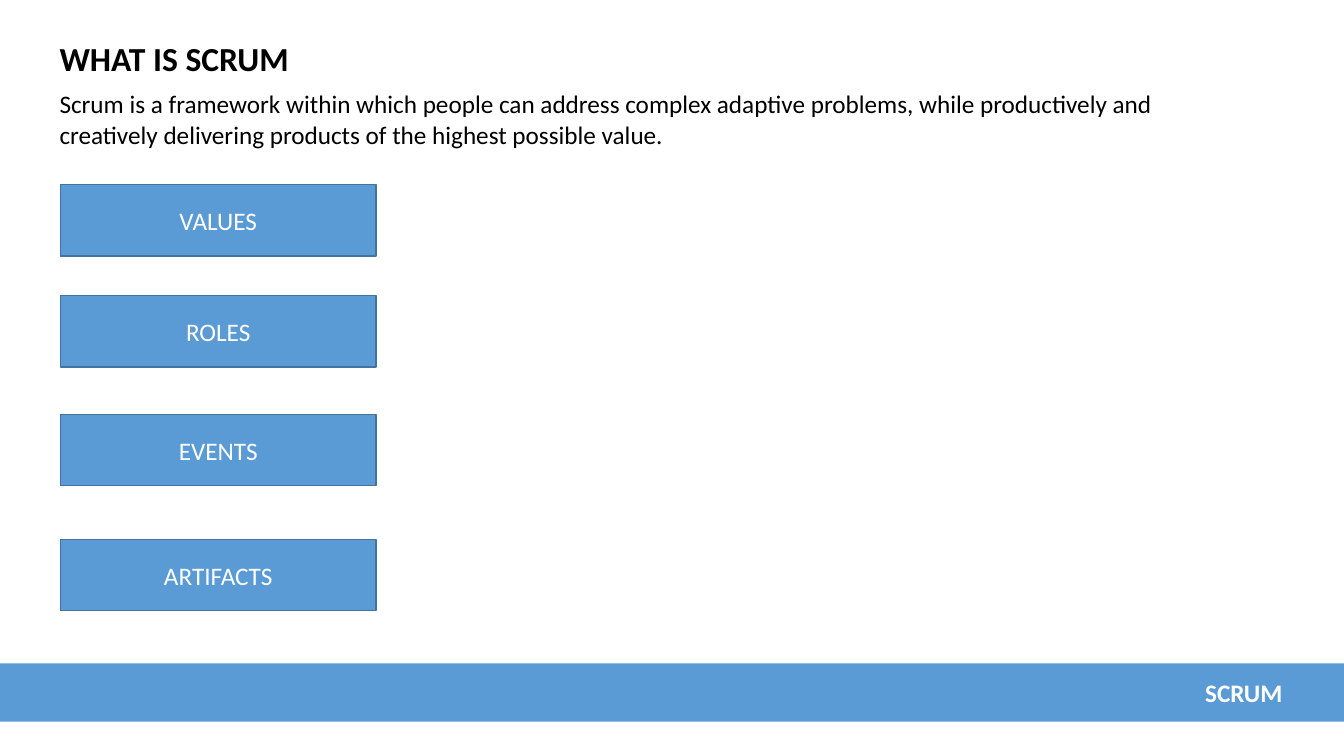
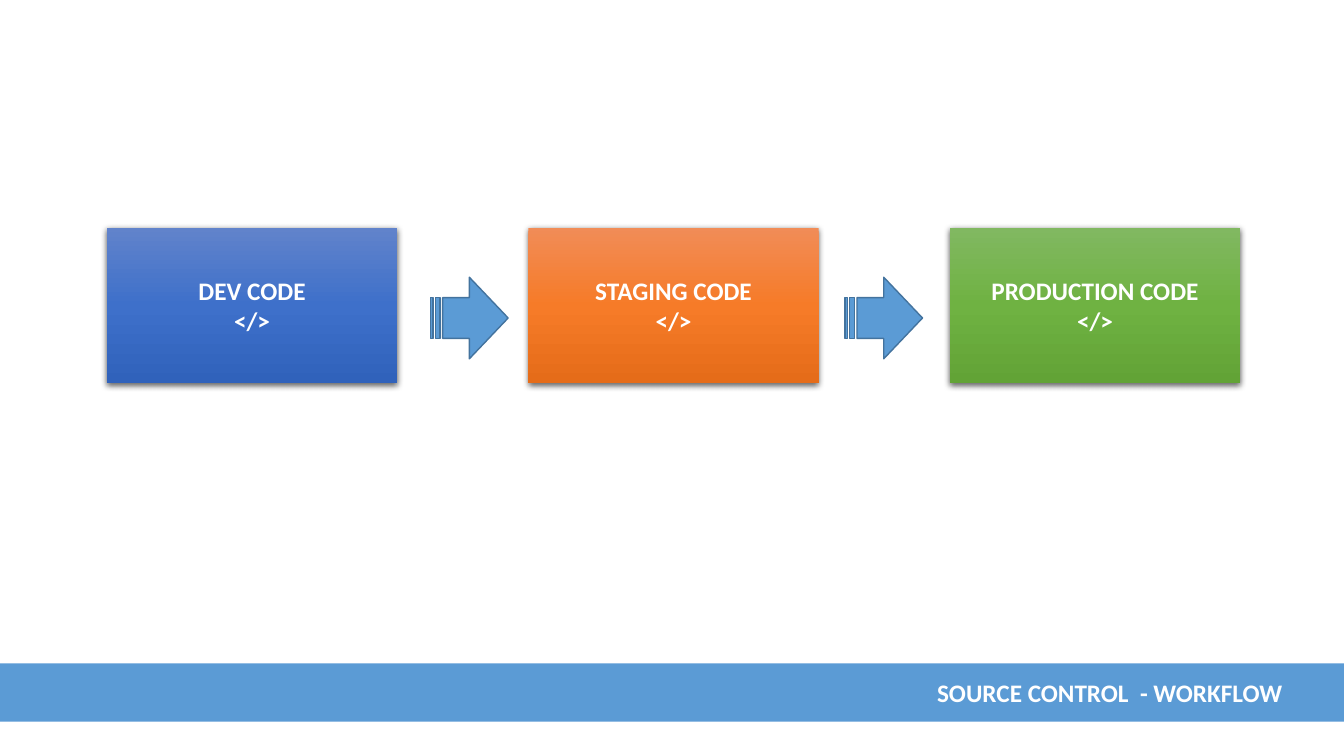
from pptx import Presentation
from pptx.dml.color import RGBColor
from pptx.enum.shapes import MSO_SHAPE
from pptx.enum.text import MSO_ANCHOR as Anchor, MSO_AUTO_SIZE, PP_ALIGN as Align
from pptx.oxml import parse_xml
from pptx.oxml.ns import nsdecls, qn
from pptx.util import Inches, Pt

FONT = "Calibri"
COLORS = {"blue": "5B9BD5", "edge": "43739E", "ink": "000000", "white": "FFFFFF"}
WIDTH, HEIGHT = 13.33, 7.5
BAND_TOP, BAND_HEIGHT = 6.58, 0.58
CAPTION_BOX = (0.85, BAND_TOP, 12, BAND_HEIGHT)

HEADING = "WHAT IS SCRUM"
DEFINITION = (
    "Scrum is a framework within which people can address complex adaptive problems, "
    "while productively and creatively delivering products of the highest possible value."
)
SCRUM_CAPTION = "SCRUM"
TOPICS = [("VALUES", 1.83), ("ROLES", 2.93), ("EVENTS", 4.11), ("ARTIFACTS", 5.35)]

WORKFLOW_CAPTION = "SOURCE CONTROL  - WORKFLOW"
CODE_MARK = "</>"
STAGES = [
    ("DEV CODE", ("6183CB", "3E70CA", "3062BB")),
    ("STAGING CODE", ("F18C57", "F67B28", "E56C19")),
    ("PRODUCTION CODE", ("81B861", "6FB242", "62A336")),
]
STAGE_LEFT, STAGE_PITCH = 1.06, 4.18
ARROW_LEFT, ARROW_PITCH = 4.27, 4.11


def rgb(name):
    return RGBColor.from_string(COLORS[name])


def place(shape, left, top, width, height):
    shape.left, shape.top = Inches(left), Inches(top)
    shape.width, shape.height = Inches(width), Inches(height)
    return shape


def write(shape, *lines, size=18, color="white", bold=False, align=Align.CENTER,
          anchor=Anchor.MIDDLE, wrap=True, side=0.1):
    frame = shape.text_frame
    frame.auto_size = MSO_AUTO_SIZE.NONE
    frame.word_wrap = wrap
    frame.vertical_anchor = anchor
    frame.margin_left = frame.margin_right = Inches(side)
    frame.margin_top = frame.margin_bottom = Inches(0.05)
    frame.text = "\n".join(lines)
    for paragraph in frame.paragraphs:
        paragraph.alignment = align
        paragraph.space_before = Pt(0)
        font = paragraph.runs[0].font
        font.name, font.size, font.bold = FONT, Pt(size), bold
        font.color.rgb = rgb(color)


def add_block(slide, box, kind=MSO_SHAPE.RECTANGLE, edge=True):
    block = slide.shapes.add_shape(kind, *map(Inches, box))
    block.shadow.inherit = False
    block.fill.solid()
    block.fill.fore_color.rgb = rgb("blue")
    if edge:
        block.line.color.rgb = rgb("edge")
        block.line.width = Pt(1)
    else:
        block.line.fill.background()
    return block


def add_master_band(prs, slide):
    band = add_block(slide, (0, BAND_TOP, WIDTH, BAND_HEIGHT), edge=False)
    band.element.nvSpPr.cNvPr.set("id", "99")
    prs.slide_master.shapes.element.insert(2, band.element)


def write_caption(shape, caption):
    write(place(shape, *CAPTION_BOX), caption, bold=True, align=Align.RIGHT, side=0.13)


def remove_bullet(paragraph):
    properties = paragraph._p.get_or_add_pPr()
    properties.set("marL", "0")
    properties.set("indent", "0")
    properties.append(parse_xml(f"<a:buNone {nsdecls('a')}/>"))


def shade(block, tones):
    stops = "".join(
        f'<a:gs pos="{i * 50000}"><a:srgbClr val="{tone}"/></a:gs>'
        for i, tone in enumerate(tones)
    )
    properties = block.element.spPr
    properties.replace(properties.find(qn("a:solidFill")), parse_xml(
        f'<a:gradFill {nsdecls("a")} rotWithShape="1"><a:gsLst>{stops}</a:gsLst>'
        '<a:lin ang="5400000" scaled="0"/></a:gradFill>'))
    properties.find(qn("a:effectLst")).append(parse_xml(
        f'<a:outerShdw {nsdecls("a")} blurRad="57150" dist="19050" dir="5400000" '
        'algn="ctr" rotWithShape="0"><a:srgbClr val="000000"><a:alpha val="63000"/>'
        '</a:srgbClr></a:outerShdw>'))


def build_scrum(prs):
    slide = prs.slides.add_slide(prs.slide_layouts[1])
    add_master_band(prs, slide)
    heading, definition = slide.placeholders
    plain = {"color": "ink", "align": Align.LEFT, "anchor": Anchor.TOP}
    write(place(heading, 0.49, 0.33, 2.95, 0.5), HEADING,
          size=24, bold=True, wrap=False, **plain)
    write(place(definition, 0.49, 0.83, 11.74, 0.71), DEFINITION, **plain)
    remove_bullet(definition.text_frame.paragraphs[0])
    for topic, top in TOPICS:
        write(add_block(slide, (0.6, top, 3.13, 0.71)), topic)
    write_caption(slide.shapes.add_textbox(0, 0, 0, 0), SCRUM_CAPTION)


def build_workflow(prs):
    slide = prs.slides.add_slide(prs.slide_layouts[5])
    write_caption(slide.shapes.title, WORKFLOW_CAPTION)
    for i, (stage, tones) in enumerate(STAGES):
        card = add_block(slide, (STAGE_LEFT + i * STAGE_PITCH, 2.26, 2.88, 1.54), edge=False)
        shade(card, tones)
        write(card, stage, CODE_MARK, bold=True)
    for i in range(len(STAGES) - 1):
        add_block(slide, (ARROW_LEFT + i * ARROW_PITCH, 2.75, 0.77, 0.81),
                  MSO_SHAPE.STRIPED_RIGHT_ARROW)


def main():
    prs = Presentation()
    prs.slide_width, prs.slide_height = Inches(WIDTH), Inches(HEIGHT)
    build_scrum(prs)
    build_workflow(prs)
    prs.save("out.pptx")


if __name__ == "__main__":
    main()
